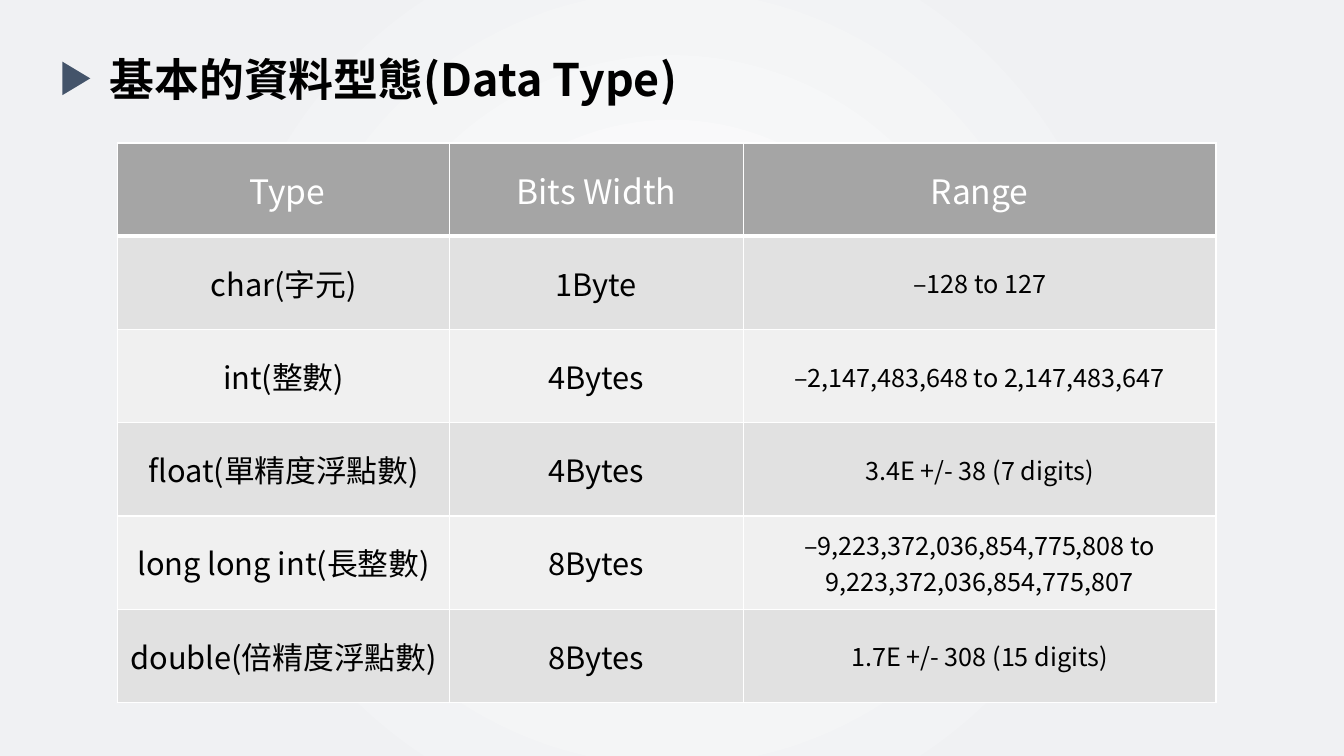
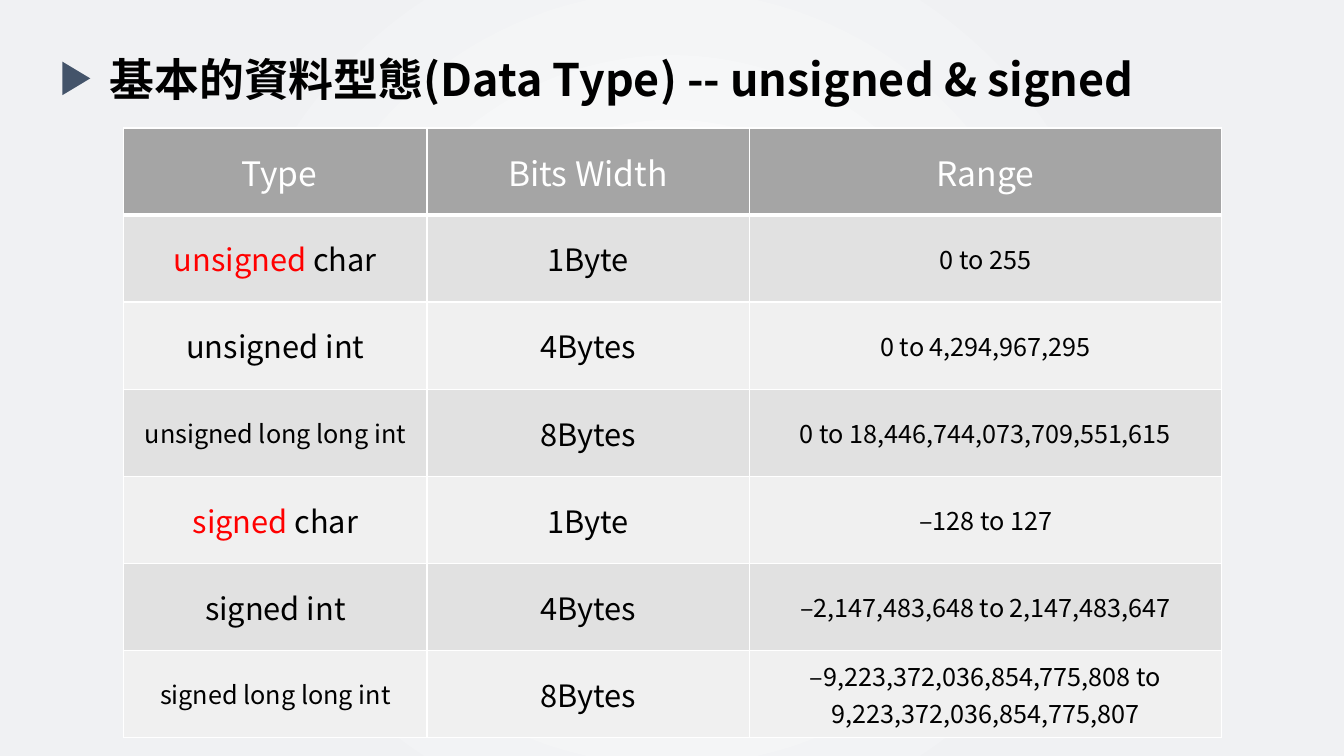
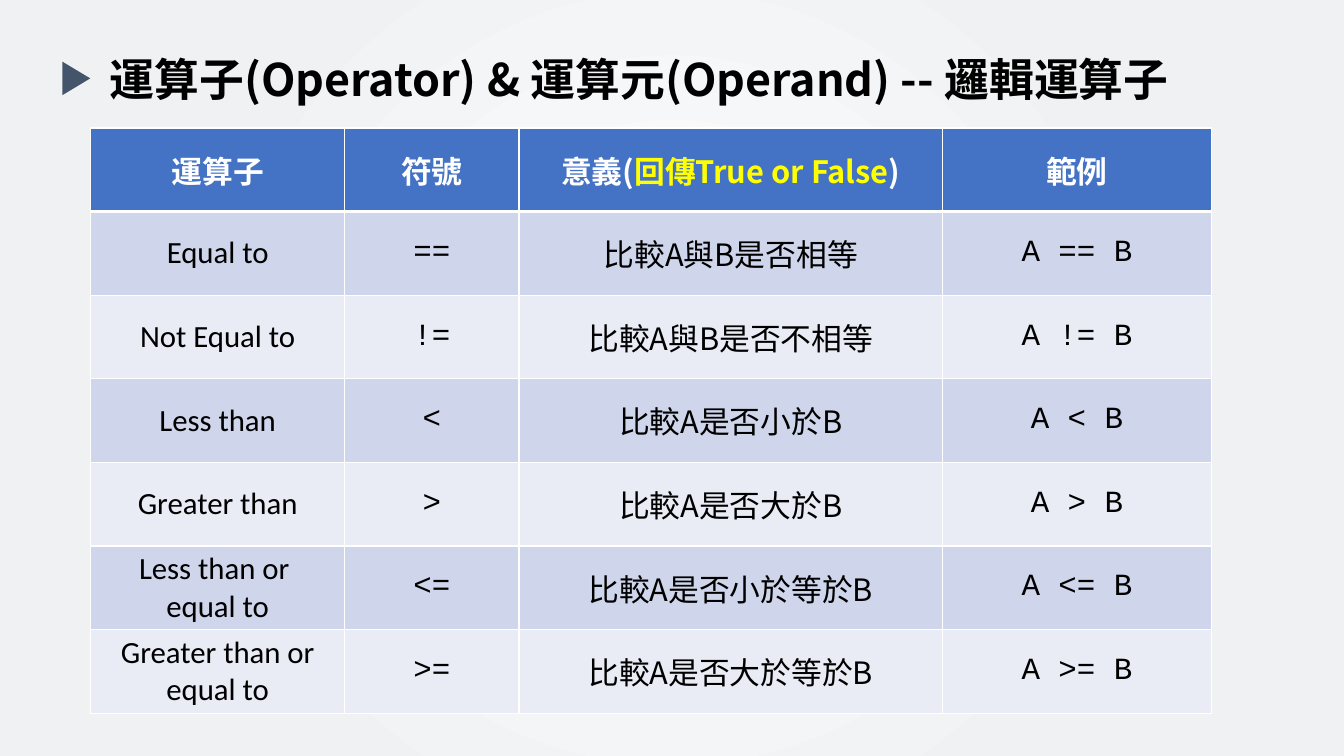
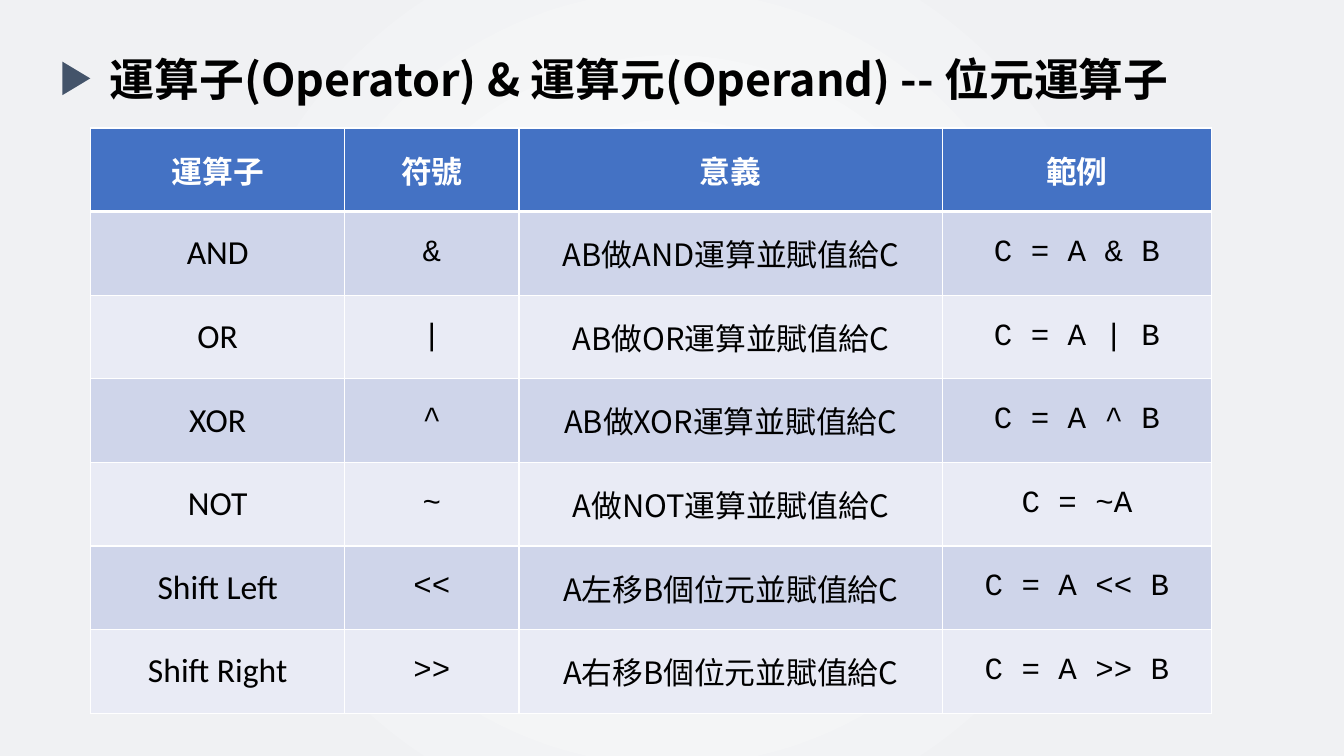
from dataclasses import dataclass

from lxml.etree import SubElement
from pptx import Presentation
from pptx.dml.color import RGBColor
from pptx.enum.shapes import MSO_SHAPE as Shape
from pptx.enum.text import MSO_ANCHOR as Anchor, PP_ALIGN as Align
from pptx.oxml import parse_xml
from pptx.oxml.ns import nsdecls, qn
from pptx.util import Pt

WHITE = RGBColor(0xFF, 0xFF, 0xFF)
BLACK = RGBColor(0, 0, 0)
RED = RGBColor(0xFF, 0, 0)
YELLOW = RGBColor(0xFF, 0xFF, 0)
SLATE = RGBColor(0x44, 0x54, 0x6A)
MIST = RGBColor(0xF0, 0xF1, 0xF3)
GRAY_HEADER = RGBColor(0xA5, 0xA5, 0xA5)
GRAY_DARK = RGBColor(0xE1, 0xE1, 0xE1)
GRAY_LIGHT = RGBColor(0xF0, 0xF0, 0xF0)
BLUE_HEADER = RGBColor(0x44, 0x72, 0xC4)
BLUE_DARK = RGBColor(0xCF, 0xD5, 0xEA)
BLUE_LIGHT = RGBColor(0xE9, 0xEB, 0xF5)

SANS = "Noto Sans CJK SC"
LATIN = "Calibri"
MONO = "Courier New"


def text_format(size, name=SANS, color=BLACK, bold=False):
    return {"size": Pt(size), "name": name, "color": color, "bold": bold}


TITLE = text_format(32, bold=True)


@dataclass
class TableStyle:
    header_fill: RGBColor
    band_fills: tuple
    header_formats: list
    body_formats: list


TYPE_STYLE = TableStyle(
    GRAY_HEADER,
    (GRAY_DARK, GRAY_LIGHT),
    [text_format(24, color=WHITE)] * 3,
    [text_format(size) for size in (22, 22, 18)],
)


def operator_style(name_size):
    return TableStyle(
        BLUE_HEADER,
        (BLUE_DARK, BLUE_LIGHT),
        [text_format(22, name, WHITE, True) for name in (SANS, MONO, SANS, MONO)],
        [text_format(name_size, LATIN)]
        + [text_format(22, name) for name in (MONO, SANS, MONO)],
    )


TYPE_HEADER = [" Type", "Bits Width", "Range"]
INT_RANGE = "–2,147,483,648 to 2,147,483,647"
LONG_RANGE = "–9,223,372,036,854,775,808 to 9,223,372,036,854,775,807"
SMALL = {"size": Pt(18)}

DATA_TYPES = [
    TYPE_HEADER,
    ["char(字元)", "1Byte", "–128 to 127"],
    ["int(整數)", "4Bytes", INT_RANGE],
    ["float(單精度浮點數)", "4Bytes", "3.4E +/- 38 (7 digits)"],
    ["long long int(長整數)", "8Bytes", LONG_RANGE],
    ["double(倍精度浮點數)", "8Bytes", "1.7E +/- 308 (15 digits)"],
]

SIGNED_TYPES = [
    TYPE_HEADER,
    [[("unsigned", {"color": RED}), (" char", {})], "1Byte", "0 to 255"],
    ["unsigned int", "4Bytes", "0 to 4,294,967,295"],
    [[("unsigned long long int", SMALL)], "8Bytes", "0 to 18,446,744,073,709,551,615"],
    [[("signed ", {"color": RED}), ("char", {})], "1Byte", "–128 to 127"],
    ["signed int", "4Bytes", INT_RANGE],
    [[("signed long long int", SMALL)], "8Bytes", LONG_RANGE],
]

LOGICAL_OPERATORS = [
    ["運算子", "符號",
     [("意義(", {}), ("回傳True or False", {"color": YELLOW}), (")", {})], "範例"],
    ["Equal to", "==", "比較A與B是否相等", "A == B"],
    ["Not Equal to", "!=", "比較A與B是否不相等", "A != B"],
    ["Less than", "<", "比較A是否小於B", "A < B"],
    ["Greater than", ">", "比較A是否大於B", "A > B"],
    ["Less than or \nequal to", "<=", "比較A是否小於等於B", "A <= B"],
    ["Greater than or equal to", ">=", "比較A是否大於等於B", "A >= B"],
]

BITWISE_OPERATORS = [
    ["運算子", "符號", "意義", "範例"],
    ["AND", "&", "AB做AND運算並賦值給C", "C = A & B"],
    ["OR", "|", "AB做OR運算並賦值給C", "C = A | B"],
    ["XOR", "^", "AB做XOR運算並賦值給C", "C = A ^ B"],
    ["NOT", "~", "A做NOT運算並賦值給C", "C = ~A"],
    ["Shift Left", "<<", "A左移B個位元並賦值給C", "C = A << B"],
    ["Shift Right", ">>", "A右移B個位元並賦值給C", "C = A >> B"],
]


def set_background(master):
    fill = master.background.fill
    fill.gradient()
    for stop, color, position in zip(fill.gradient_stops, (WHITE, MIST), (0, 0.67)):
        stop.color.rgb = color
        stop.position = position
    gradient = next(master.element.iter(qn("a:gradFill")))
    gradient.replace(gradient.find(qn("a:lin")), parse_xml(
        f'<a:path {nsdecls("a")} path="circle">'
        '<a:fillToRect l="50000" t="50000" r="50000" b="50000"/></a:path>'))


def add_run(paragraph, text, values):
    run = paragraph.add_run()
    run.text = text
    for key, value in values.items():
        if key == "color":
            run.font.color.rgb = value
        else:
            setattr(run.font, key, value)
    SubElement(run._r.get_or_add_rPr(), qn("a:ea"), typeface=SANS)


def add_title(slide, text):
    marker = slide.shapes.add_shape(
        Shape.ISOSCELES_TRIANGLE, Pt(42.5), Pt(46), Pt(24), Pt(20))
    marker.rotation = 90
    marker.shadow.inherit = False
    marker.fill.solid()
    marker.fill.fore_color.rgb = SLATE
    marker.line.fill.background()

    frame = slide.shapes.add_textbox(Pt(71.3), Pt(33), Pt(842), Pt(46)).text_frame
    frame.word_wrap = True
    frame.vertical_anchor = Anchor.MIDDLE
    add_run(frame.paragraphs[0], text, TITLE)


def set_borders(cell, bottom_width):
    properties = cell._tc.get_or_add_tcPr()
    widths = {"lnL": 1, "lnR": 1, "lnT": 1, "lnB": bottom_width}
    for index, (side, width) in enumerate(widths.items()):
        properties.insert(index, parse_xml(
            f'<a:{side} {nsdecls("a")} w="{Pt(width)}"><a:solidFill>'
            f'<a:srgbClr val="{WHITE}"/></a:solidFill></a:{side}>'))


def fill_cell(cell, content, values, fill, bottom_width):
    layout = {"vertical_anchor": Anchor.MIDDLE, "margin_top": 0, "margin_bottom": 0}
    for key, value in layout.items():
        setattr(cell, key, value)
    cell.fill.solid()
    cell.fill.fore_color.rgb = fill
    set_borders(cell, bottom_width)

    if isinstance(content, str):
        lines = [[(line, {})] for line in content.split("\n")]
    else:
        lines = [content]
    frame = cell.text_frame
    for index, line in enumerate(lines):
        paragraph = frame.add_paragraph() if index else frame.paragraphs[0]
        paragraph.alignment = Align.CENTER
        for text, changes in line:
            add_run(paragraph, text, {**values, **changes})


def add_styled_table(slide, rows, style, left, top, widths, row_height):
    table = slide.shapes.add_table(
        len(rows), len(widths), Pt(left), Pt(top),
        Pt(sum(widths)), Pt(row_height * len(rows))).table
    for column, width in zip(table.columns, widths):
        column.width = Pt(width)
    for number, (row, contents) in enumerate(zip(table.rows, rows)):
        row.height = Pt(row_height)
        if number == 0:
            formats, fill, bottom_width = style.header_formats, style.header_fill, 3
        else:
            formats, bottom_width = style.body_formats, 1
            fill = style.band_fills[(number - 1) % 2]
        for cell, content, values in zip(row.cells, contents, formats):
            fill_cell(cell, content, values, fill, bottom_width)


def main():
    deck = Presentation()
    deck.slide_width, deck.slide_height = Pt(960), Pt(540)
    set_background(deck.slide_master)

    types_title = "基本的資料型態(Data Type)"
    operators_title = "運算子(Operator) & 運算元(Operand) -- "
    operators_grid = (64.8, 91.4, (181.4, 124.6, 302.4, 192.2), 59.75)
    pages = [
        (types_title, DATA_TYPES, TYPE_STYLE,
         (84.2, 102.2, (236.8, 210, 337.6), 66.6)),
        (types_title + " -- unsigned & signed", SIGNED_TYPES, TYPE_STYLE,
         (88.4, 91.4, (216.6, 230.2, 337.6), 62.2)),
        (operators_title + "邏輯運算子", LOGICAL_OPERATORS, operator_style(22),
         operators_grid),
        (operators_title + "位元運算子", BITWISE_OPERATORS, operator_style(24),
         operators_grid),
    ]
    for title, rows, style, grid in pages:
        slide = deck.slides.add_slide(deck.slide_layouts[6])
        add_title(slide, title)
        add_styled_table(slide, rows, style, *grid)

    deck.save("out.pptx")


main()
